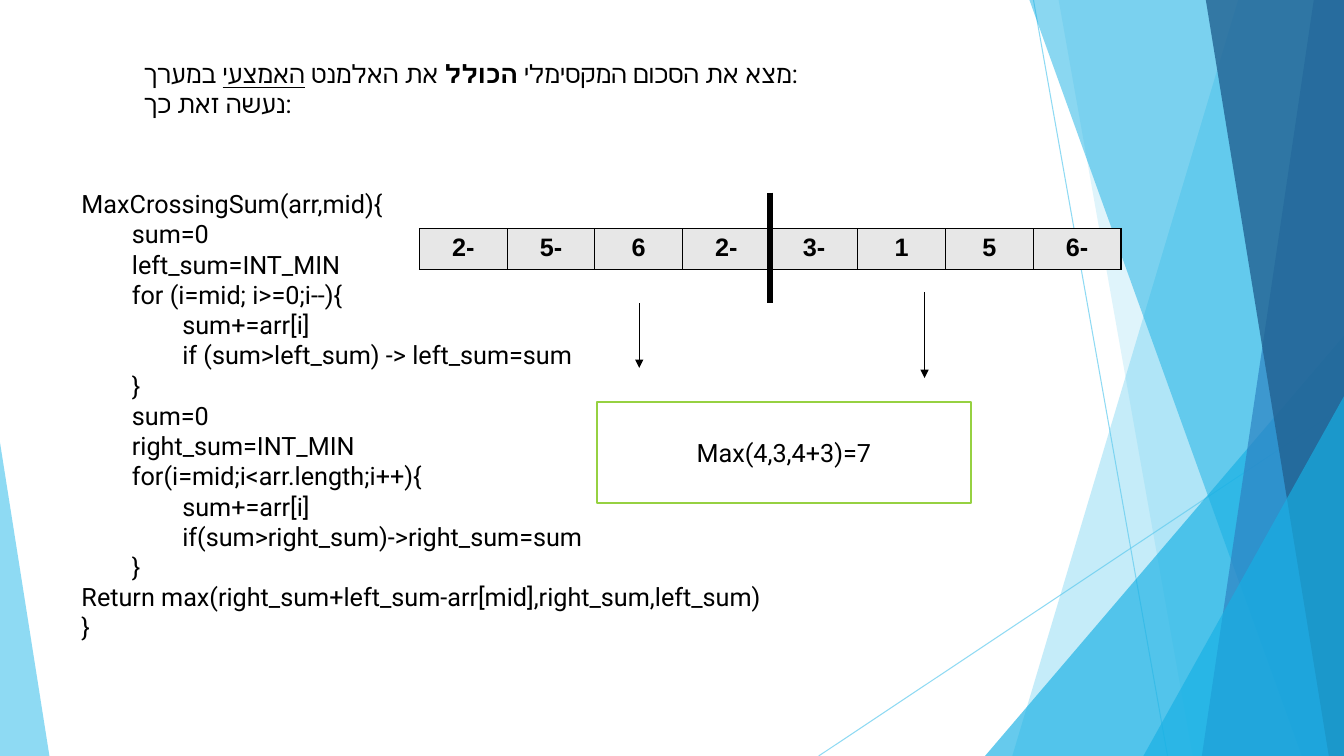
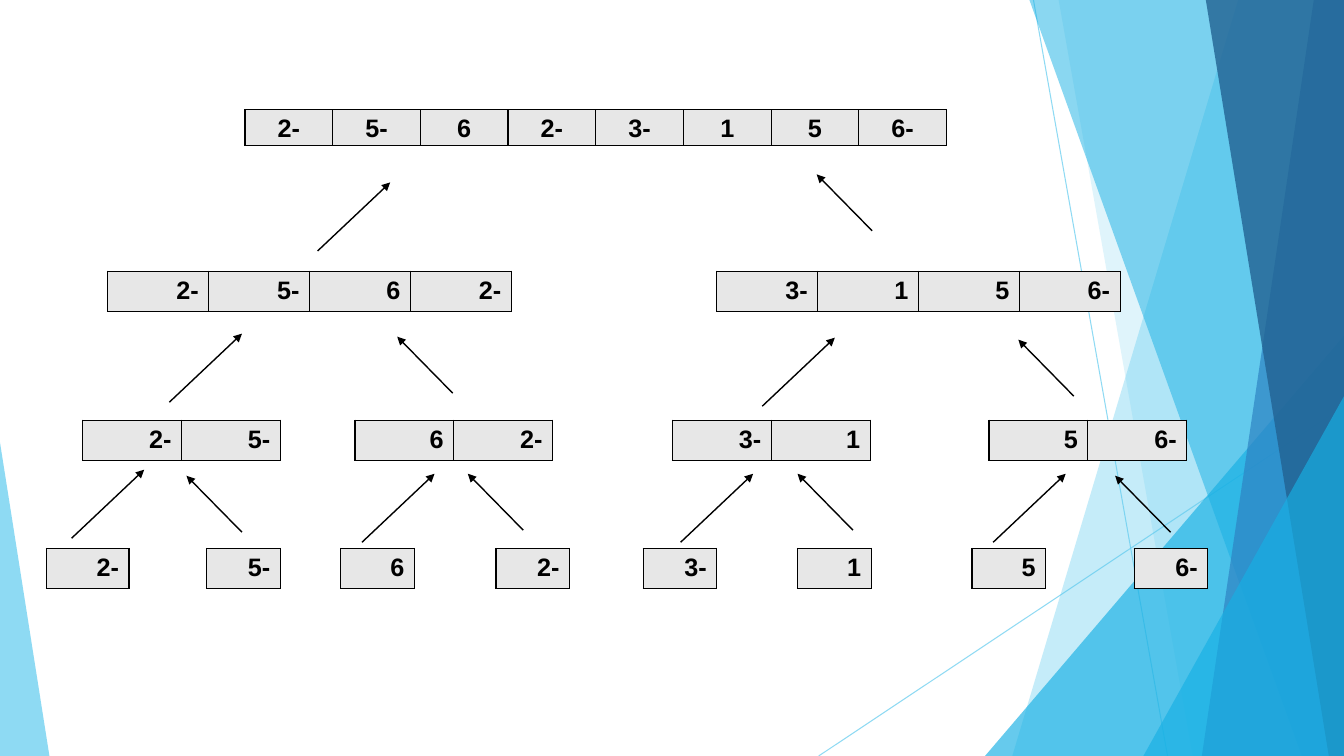
from lxml import etree
from pptx import Presentation
from pptx import util as u
from pptx.dml.color import RGBColor
from pptx.enum import shapes, text
from pptx.oxml.ns import qn

# Grid: 13.33 columns by 7.5 rows, one inch each
WIDE, HIGH = 13.33, 7.5
G = u.Inches

BLACK = RGBColor(0x00, 0x00, 0x00)
WHITE = RGBColor(0xFF, 0xFF, 0xFF)
GREY = RGBColor(0xE7, 0xE7, 0xE7)
GREEN = RGBColor(0x96, 0xD1, 0x41)
SKY = RGBColor(0x5F, 0xCB, 0xEF)
CYAN = RGBColor(0x17, 0xB0, 0xE4)
BLUE = RGBColor(0x2E, 0x83, 0xC3)
NAVY = RGBColor(0x22, 0x62, 0x92)
FONT, SIZE = "Roboto", u.Pt(18)
DATA = ["-2", "-5", "6", "-2", "-3", "1", "5", "-6"]


def link(home, x1, y1, x2, y2, color=BLACK, width=1, arrow=True):
    line = home.add_connector(shapes.MSO_CONNECTOR.STRAIGHT, G(x1), G(y1), G(x2), G(y2))
    line.line.color.rgb = color
    line.line.width = u.Pt(width)
    if arrow:
        etree.SubElement(line.line._get_or_add_ln(), qn("a:tailEnd"), type="triangle")
    etree.SubElement(line.element.spPr, qn("a:effectLst"))
    return line


def row(home, x, y, wide, vals, high=0.4, align=text.PP_ALIGN.RIGHT):
    grid = home.add_table(1, len(vals), G(x), G(y), G(wide * len(vals)), G(high)).table
    grid.first_row = grid.horz_banding = False
    for col, val in zip(grid.columns, vals):
        col.width = G(wide)
    for cell, val in zip(grid.iter_cells(), vals):
        cell.text = val
        cell.margin_bottom = G(0.01)
        para = cell.text_frame.paragraphs[0]
        para.alignment = align
        para.font.name, para.font.size = FONT, SIZE
        para.font.bold = True
        para.font.color.rgb = BLACK
        # Right-to-left cells take the complex-script face
        props = para._p.get_or_add_pPr()
        props.set("rtl", "1")
        etree.SubElement(props.find(qn("a:defRPr")), qn("a:cs"), typeface="Arial")
        # Cell borders, then fill
        for side in ("a:lnL", "a:lnR", "a:lnT", "a:lnB"):
            edge = etree.SubElement(cell._tc.get_or_add_tcPr(), qn(side), w=str(u.Pt(1)))
            paint = etree.SubElement(edge, qn("a:solidFill"))
            etree.SubElement(paint, qn("a:srgbClr"), val=str(BLACK))
        cell.fill.solid()
        cell.fill.fore_color.rgb = GREY


deck = Presentation()
deck.slide_width, deck.slide_height = G(WIDE), G(HIGH)
blank = deck.slide_layouts[6]
code = deck.slides.add_slide(blank)
tree = deck.slides.add_slide(blank)

# Shared facets: colour, opacity, corner points
FACETS = [
    (SKY, 70, [(10.25, 0), (11.58, HIGH)]),
    (SKY, 70, [(WIDE, 4.03), (8.12, HIGH)]),
    (SKY, 36, [(12.28, 0), (WIDE, 0), (WIDE, HIGH), (10.04, HIGH)]),
    (SKY, 20, [(10.5, 0), (WIDE, 0), (WIDE, HIGH), (11.83, HIGH)]),
    (CYAN, 66, [(WIDE, 3.33), (WIDE, HIGH), (9.77, HIGH)]),
    (CYAN, 50, [(10.21, 0), (WIDE, 0), (WIDE, HIGH), (12.91, HIGH)]),
    (BLUE, 70, [(13.03, 0), (WIDE, 0), (WIDE, HIGH), (11.92, HIGH)]),
    (NAVY, 80, [(11.96, 0), (WIDE, 0), (WIDE, HIGH), (13.18, HIGH)]),
    (CYAN, 66, [(WIDE, 3.93), (WIDE, HIGH), (11.34, HIGH)]),
    (SKY, 70, [(0, 4.39), (0.49, HIGH), (0, HIGH)]),
]
group = code.shapes.add_group_shape()
for color, alpha, points in FACETS:
    if len(points) == 2:
        facet = link(group.shapes, *points[0], *points[1], color, 0.75, False)
    elif len(points) == 3:
        left, top = (min(axis) for axis in zip(*points))
        right, base = (max(axis) for axis in zip(*points))
        facet = group.shapes.add_shape(shapes.MSO_SHAPE.ISOSCELES_TRIANGLE, G(left), G(top),
                                       G(right - left), G(base - top))
        facet.adjustments[0] = 1 if left else 0
    else:
        spots = [(G(x), G(y)) for x, y in points]
        pen = group.shapes.build_freeform(*spots[0], scale=1.0)
        pen.add_line_segments(spots[1:], close=True)
        facet = pen.convert_to_shape()
    if len(points) > 2:
        facet.shadow.inherit = False
        facet.fill.solid()
        facet.fill.fore_color.rgb = color
        facet.line.fill.background()
    for tint in facet.element.spPr.iter(qn("a:srgbClr")):
        etree.SubElement(tint, qn("a:alpha"), val=str(alpha * 1000))
# The layout carries the facets for every slide
blank.shapes.element.append(group.element)

# Slide 1: code, one (indent, line) pair each
CODE = [
    (0, "MaxCrossingSum(arr,mid){"),
    (1, "sum=0"),
    (1, "left_sum=INT_MIN"),
    (1, "for (i=mid; i>=0;i--){"),
    (2, "sum+=arr[i]"),
    (2, "if (sum>left_sum) -> left_sum=sum"),
    (1, "}"),
    (1, "sum=0"),
    (1, "right_sum=INT_MIN"),
    (1, "for(i=mid;i<arr.length;i++){"),
    (2, "sum+=arr[i]"),
    (2, "if(sum>right_sum)->right_sum=sum"),
    (1, "}"),
    (0, "Return max(right_sum+left_sum-arr[mid],right_sum,left_sum)"),
    (0, "}"),
]
body = code.shapes.add_textbox(G(0.71), G(1.82), G(7.89), G(4.95)).text_frame
body.text = "\n".join(line for _, line in CODE)
for para, (depth, _) in zip(body.paragraphs, CODE):
    props = para._p.get_or_add_pPr()
    props.set("marL", str(G(0.5 * depth)))
    props.set("indent", "0")

# Task text
task = code.shapes.add_textbox(G(1.33), G(0.53), G(8.94), G(0.71)).text_frame
for part, bold, under in [("מצא את הסכום המקסימלי ", False, False), ("הכולל", True, False),
                          (" את האלמנט ", False, False), ("האמצעי", False, True),
                          (" במערך:", False, False)]:
    run = task.paragraphs[0].add_run()
    run.text = part
    run.font.bold, run.font.underline = bold, under
task.add_paragraph().text = "נעשה זאת כך:"

# Array, its middle and the two halves
row(code.shapes, 4.16, 2.27, 0.87, DATA, align=text.PP_ALIGN.CENTER)
link(code.shapes, 7.64, 1.91, 7.64, 3.01, width=4.5, arrow=False)
link(code.shapes, 6.34, 3.01, 6.34, 3.65)
link(code.shapes, 9.17, 2.9, 9.17, 3.75)

# Result box
box = code.shapes.add_shape(shapes.MSO_SHAPE.RECTANGLE, G(5.92), G(3.99), G(3.71), G(1))
box.shadow.inherit = False
box.fill.solid()
box.fill.fore_color.rgb = WHITE
box.line.color.rgb = GREEN
box.line.width = u.Pt(1.5)
box.text_frame.text = "Max(4,3,4+3)=7"
box.text_frame.vertical_anchor = text.MSO_ANCHOR.MIDDLE
box.text_frame.paragraphs[0].alignment = text.PP_ALIGN.CENTER

# One text style for the slide
for shape in code.shapes:
    if shape.has_text_frame:
        shape.text_frame.word_wrap = True
        for para in shape.text_frame.paragraphs:
            para.font.name, para.font.size = FONT, SIZE
            para.font.color.rgb = BLACK

# Slide 2: whole array, then top, cell width, first value, count, lefts
row(tree.shapes, 2.43, 1.09, 0.87, DATA, 0.35, text.PP_ALIGN.CENTER)
LEVELS = [
    (2.69, 1, 0, 4, [1.07, 7.11]),
    (4.17, 0.98, 0, 2, [0.82, 3.52, 6.67, 9.81]),
    (5.44, 0.82, 0, 1, [0.46]),
    (5.44, 0.73, 1, 1, [2.05, 3.38, 4.92, 6.38, 7.91, 9.64, 11.25]),
]
for top, wide, first, count, lefts in LEVELS:
    for i, left in enumerate(lefts):
        start = first + i * count
        row(tree.shapes, left, top, wide, DATA[start:start + count])

# Arrows up to the parent: step, then starting points
CLIMBS = [
    (0.72, -0.68, [(3.15, 2.49), (1.68, 3.99), (7.56, 4.03), (0.71, 5.34),
                   (3.59, 5.38), (6.75, 5.38), (9.85, 5.38)]),
    (-0.55, -0.56, [(8.65, 2.29), (4.49, 3.9), (10.65, 3.93), (2.4, 5.28),
                    (5.19, 5.26), (8.46, 5.26), (11.61, 5.28)]),
]
for dx, dy, starts in CLIMBS:
    for x, y in starts:
        link(tree.shapes, x, y, x + dx, y + dy)

deck.save("out.pptx")
